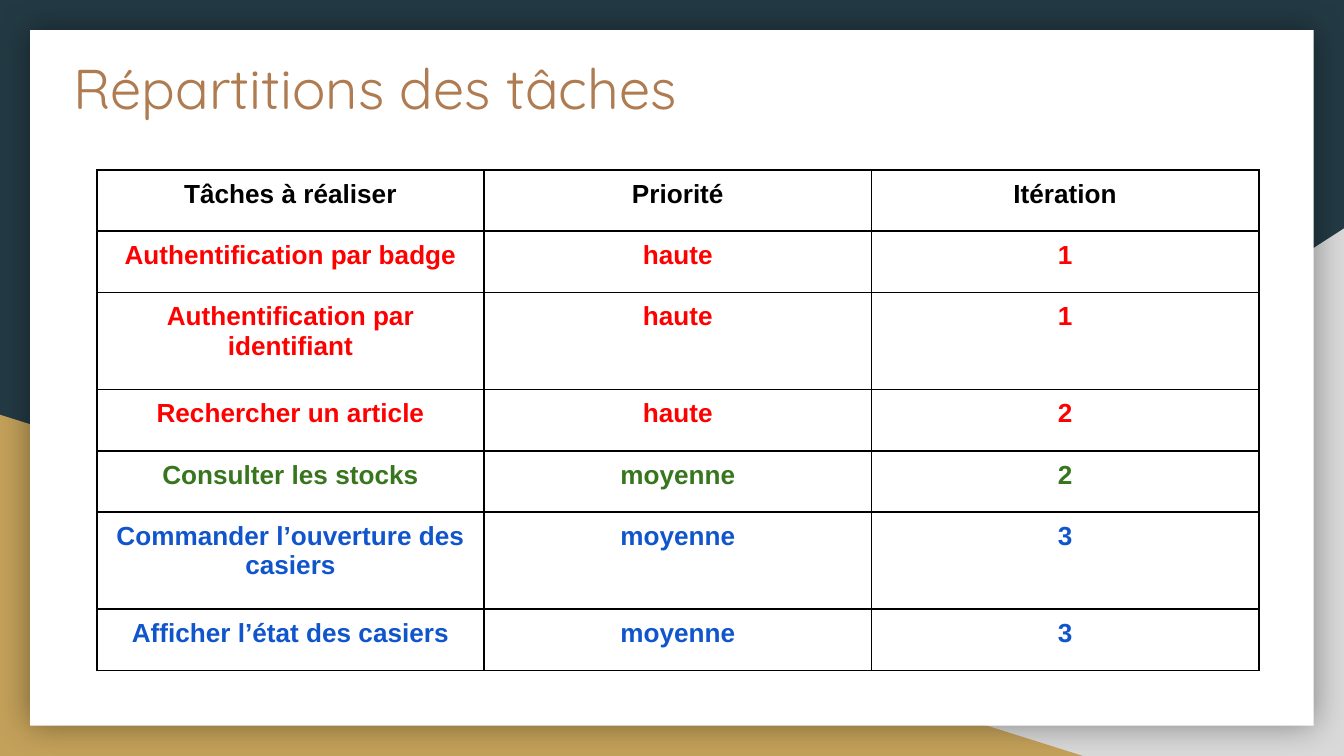
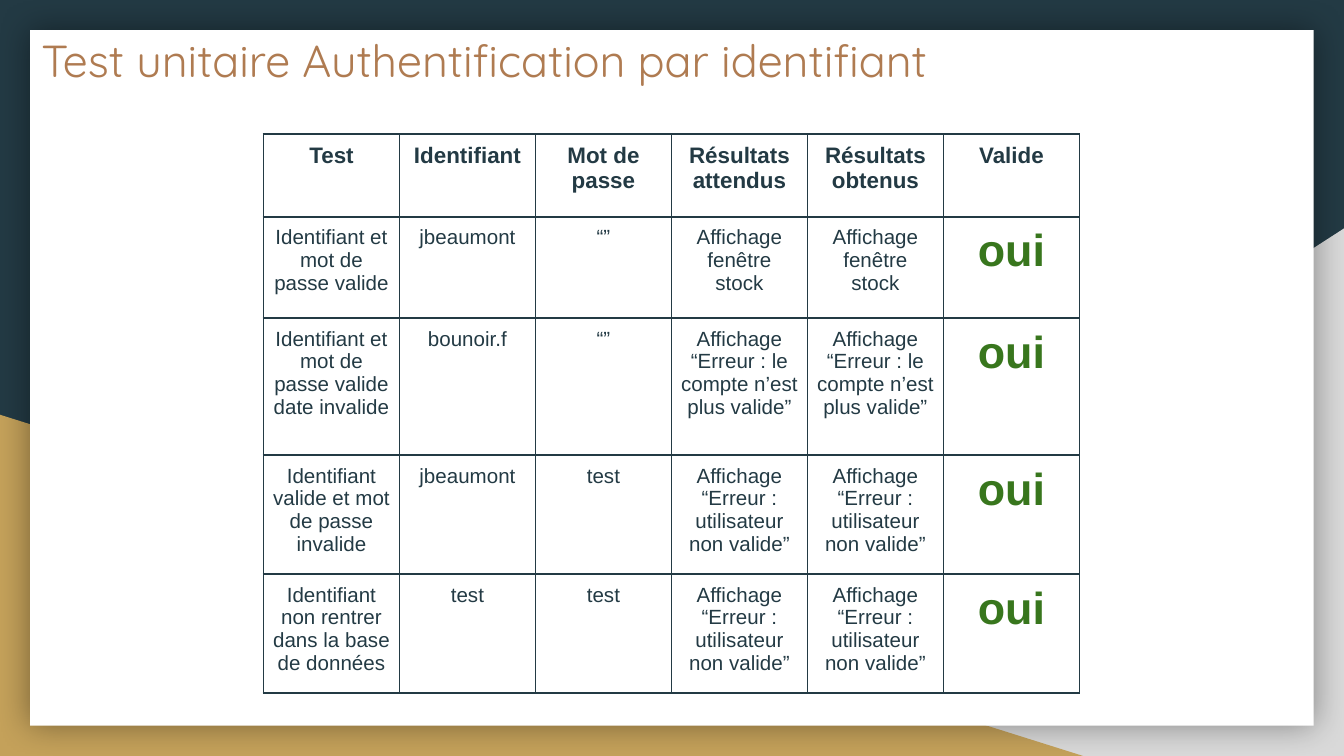
from pptx import Presentation
from pptx.dml.color import RGBColor
from pptx.enum.shapes import MSO_SHAPE
from pptx.enum.text import MSO_ANCHOR, MSO_AUTO_SIZE, PP_ALIGN
from pptx.oxml import parse_xml
from pptx.oxml.ns import nsdecls, qn
from pptx.util import Cm, Pt

WIDTH, HEIGHT = 25.4, 14.29
NAVY, GOLD, GREY, WHITE = "233A44", "C4A15A", "D9D9D9", "FFFFFF"
COPPER, BLACK, RED, GREEN, BLUE = "AF7B51", "000000", "FF0000", "38761D", "1155CC"
TITLE_FONT, BODY_FONT = "Quicksand", "Arial"

TASKS = [
    ("Tâches à réaliser", "Priorité", "Itération", BLACK),
    ("Authentification par badge", "haute", "1", RED),
    ("Authentification par identifiant", "haute", "1", RED),
    ("Rechercher un article", "haute", "2", RED),
    ("Consulter les stocks", "moyenne", "2", GREEN),
    ("Commander l’ouverture des casiers", "moyenne", "3", BLUE),
    ("Afficher l’état des casiers", "moyenne", "3", BLUE),
]
TEST_HEADER = ("Test", "Identifiant", "Mot de passe",
               "Résultats attendus", "Résultats obtenus", "Valide")
UNKNOWN_USER = "Affichage “Erreur : utilisateur non valide”"
TESTS = [
    ("Identifiant et mot de passe valide", "jbeaumont", "“”",
     "Affichage fenêtre stock"),
    ("Identifiant et mot de passe valide\ndate invalide", "bounoir.f", "“”",
     "Affichage “Erreur : le compte n’est plus valide”"),
    ("Identifiant valide et mot de passe invalide", "jbeaumont", "test", UNKNOWN_USER),
    ("Identifiant non rentrer dans la base de données", "test", "test", UNKNOWN_USER),
]


def rgb(value):
    """Turn a hex string into a colour."""
    return RGBColor.from_string(value)


def write(tf, text, size, color, font=BODY_FONT, bold=False, align=PP_ALIGN.CENTER):
    """Fill a text frame, one paragraph per line of text."""
    for i, line in enumerate(text.split("\n")):
        p = tf.paragraphs[0] if i == 0 else tf.add_paragraph()
        p.alignment = align
        r = p.add_run()
        r.text = line
        r.font.name, r.font.size, r.font.bold = font, Pt(size), bold
        r.font.color.rgb = rgb(color)


def add_block(s, kind, color, left, top, width, height):
    """Add a plain filled shape without outline or shadow."""
    sp = s.shapes.add_shape(kind, Cm(left), Cm(top), Cm(width), Cm(height))
    sp.fill.solid()
    sp.fill.fore_color.rgb = rgb(color)
    sp.line.fill.background()
    sp.shadow.inherit = False
    return sp


def add_backdrop(s, layout, width, height):
    """Give the layout its background, corner triangles and shadowed card."""
    fill = layout.background.fill
    fill.solid()
    fill.fore_color.rgb = rgb(NAVY)
    grey_w, grey_h, gold_w, gold_h = 15.44, 9.97, 20.47, 6.45
    grey = add_block(s, MSO_SHAPE.RIGHT_TRIANGLE, GREY,
                     width - grey_w, height - grey_h, grey_w, grey_h)
    grey._element.spPr.find(qn("a:xfrm")).set("flipH", "1")
    gold = add_block(s, MSO_SHAPE.RIGHT_TRIANGLE, GOLD, 0, height - gold_h, gold_w, gold_h)
    margin = 0.57
    card = add_block(s, MSO_SHAPE.RECTANGLE, WHITE, margin, margin,
                     width - 2 * margin, height - 2 * margin)
    card._element.spPr.find(qn("a:effectLst")).append(parse_xml(
        f'<a:outerShdw {nsdecls("a")} blurRad="{Pt(18)}" dist="0" algn="ctr" rotWithShape="0">'
        f'<a:srgbClr val="{BLACK}"><a:alpha val="40000"/></a:srgbClr></a:outerShdw>'))
    for i, sp in enumerate((grey, gold, card)):
        layout.shapes._spTree.insert(2 + i, sp._element)


def set_title(s, text, size, left, top, width):
    """Place and format the title placeholder."""
    sp = s.shapes.title
    sp.left, sp.top, sp.width, sp.height = Cm(left), Cm(top), Cm(width), Cm(2.64)
    tf = sp.text_frame
    tf.word_wrap, tf.auto_size = True, MSO_AUTO_SIZE.NONE
    tf.vertical_anchor = MSO_ANCHOR.TOP
    tf.margin_left = tf.margin_right = tf.margin_top = tf.margin_bottom = Cm(0.25)
    write(tf, text, size, COPPER, font=TITLE_FONT, align=PP_ALIGN.LEFT)


def add_borders(cell, color):
    """Draw a one-point line on the four sides of a cell."""
    tc_pr = cell._tc.get_or_add_tcPr()
    for side in "LRTB":
        tc_pr.append(parse_xml(
            f'<a:ln{side} {nsdecls("a")} w="{Pt(1)}"><a:solidFill>'
            f'<a:srgbClr val="{color}"/></a:solidFill></a:ln{side}>'))


def add_grid(s, rows, left, top, col_width, heights, border):
    """Add a bordered table from rows of (text, format) pairs."""
    n_cols = len(rows[0])
    table = s.shapes.add_table(len(rows), n_cols, Cm(left), Cm(top),
                               Cm(col_width * n_cols), Cm(sum(heights))).table
    table.first_row = table.horz_banding = False
    for col in table.columns:
        col.width = Cm(col_width)
    for i, (row, height) in enumerate(zip(rows, heights)):
        table.rows[i].height = Cm(height)
        for j, (text, style) in enumerate(row):
            cell = table.cell(i, j)
            add_borders(cell, border)
            cell.fill.background()
            cell.margin_left = cell.margin_right = Cm(0.18)
            cell.margin_top = cell.margin_bottom = Cm(0.18)
            write(cell.text_frame, text, **style)


def fill_tasks(s):
    """Build the slide that ranks the tasks."""
    set_title(s, "Répartitions des tâches", 30, 1.14, 0.76, 20.85)
    rows = [[(text, dict(size=14, color=color, bold=True)) for text in texts]
            for *texts, color in TASKS]
    single, double = 1.16, 1.83
    heights = [double if len(task[0]) > 30 else single for task in TASKS]
    add_grid(s, rows, 1.83, 3.21, 7.32, heights, BLACK)


def fill_tests(s):
    """Build the slide that reports the unit tests."""
    set_title(s, "Test unitaire Authentification par identifiant", 24, 0.53, 0.36, 22.86)
    header = dict(size=12, color=NAVY, bold=True)
    body = dict(size=11, color=NAVY)
    verdict = dict(size=24, color=GREEN, bold=True)
    rows = [[(text, header) for text in TEST_HEADER]]
    for test in TESTS:
        rows.append([(text, body) for text in (*test, test[-1])] + [("oui", verdict)])
    add_grid(s, rows, 4.98, 2.53, 2.57, [1.57, 1.91, 2.59, 2.25, 2.25], NAVY)


def main():
    """Build and save the presentation."""
    prs = Presentation()
    prs.slide_width, prs.slide_height = Cm(WIDTH), Cm(HEIGHT)
    layout = prs.slide_layouts[5]
    tasks, tests = (prs.slides.add_slide(layout) for _ in range(2))
    add_backdrop(tasks, layout, WIDTH, HEIGHT)
    fill_tasks(tasks)
    fill_tests(tests)
    prs.save("out.pptx")


if __name__ == "__main__":
    main()
